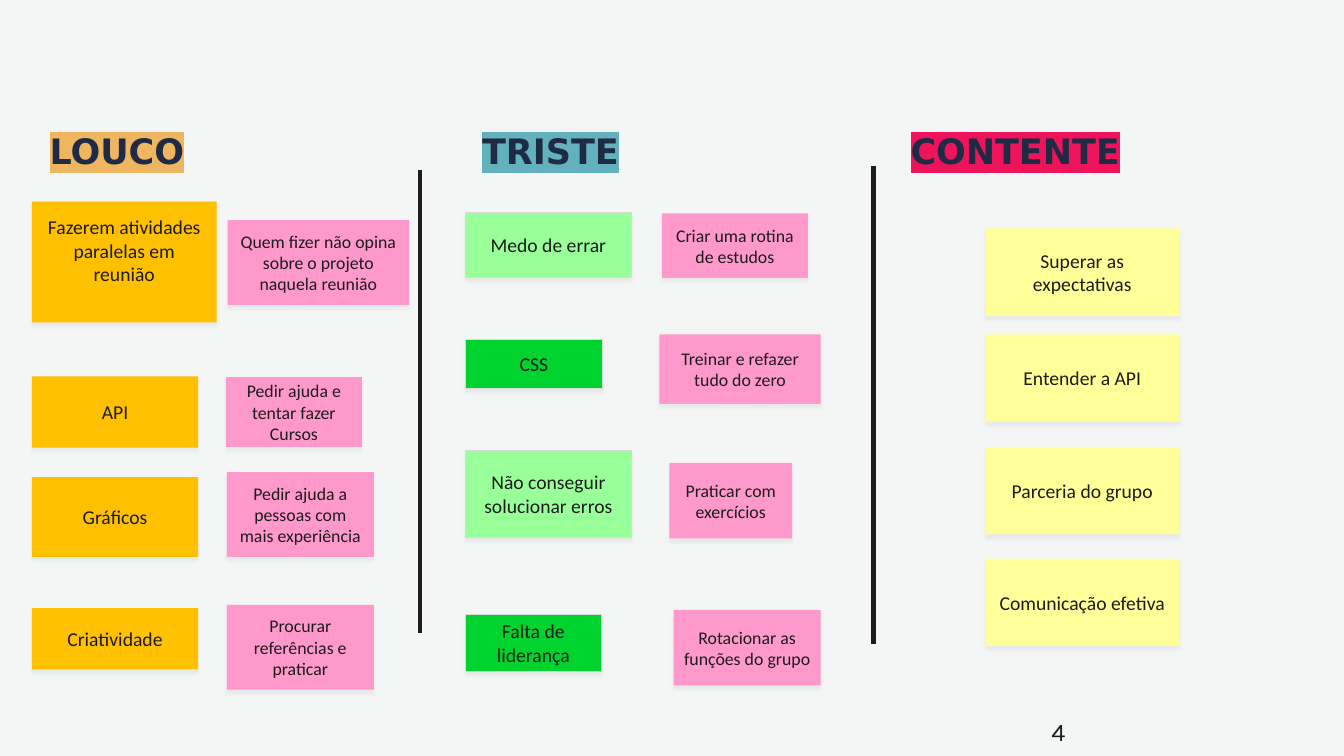
import lxml.etree
import pptx
import pptx.dml.color
import pptx.enum.shapes
import pptx.enum.text
import pptx.oxml.ns
import pptx.util

INK = "1C1C1C"
NAVY = "1F2A44"
GREY = "D9D9D9"
AMBER = "FFC000"
PINK = "FF99CC"
MINT = "99FF99"
GREEN = "00D22E"
YELLOW = "FFFF99"


def colour(code):
    """Return the colour for a hex string."""
    return pptx.dml.color.RGBColor.from_string(code)


def add_xml(parent, tag, **attributes):
    """Append a DrawingML element and return it."""
    return lxml.etree.SubElement(parent, pptx.oxml.ns.qn(tag), attributes)


class Board:
    """Retrospective board on a grid of 160 columns by 90 rows."""

    columns, rows = 160, 90
    middle = pptx.enum.text.MSO_ANCHOR.MIDDLE
    top = pptx.enum.text.MSO_ANCHOR.TOP
    left = pptx.enum.text.PP_ALIGN.LEFT
    center = pptx.enum.text.PP_ALIGN.CENTER

    def __init__(self, deck, background):
        """Add a page with three text placeholders and no title."""
        self.column = deck.slide_width / self.columns
        self.row = deck.slide_height / self.rows
        self.page = deck.slides.add_slide(deck.slide_layouts.get_by_name("Comparison"))
        self.page.background.fill.solid()
        self.page.background.fill.fore_color.rgb = colour(background)
        holders = {item.placeholder_format.idx: item for item in self.page.placeholders}
        for index in (0, 4):
            holders[index].element.getparent().remove(holders[index].element)
        self.bodies = [holders[index] for index in (1, 2, 3)]

    def place(self, left, top, width, height):
        """Turn grid units into slide lengths."""
        return (round(left * self.column), round(top * self.row),
                round(width * self.column), round(height * self.row))

    def set_text(self, box, text, size, font, code, align, anchor, bold=False):
        """Fill a box with text and format every run."""
        frame = box.text_frame
        frame.text = text
        frame.word_wrap = True
        frame.auto_size = pptx.enum.text.MSO_AUTO_SIZE.NONE
        frame.vertical_anchor = anchor
        for para in frame.paragraphs:
            para.alignment = align
            for span in para.runs:
                span.font.size = pptx.util.Pt(size)
                span.font.name = font
                span.font.bold = bold
                span.font.color.rgb = colour(code)

    def heading(self, text, left, highlight):
        """Set the next body placeholder as a highlighted heading."""
        box = self.bodies.pop(0)
        box.left, box.top, box.width, box.height = self.place(left, 15.4, 48, 7.2)
        self.set_text(box, text, 25, "DejaVu Sans", NAVY, self.left, self.top, True)
        para = box.text_frame.paragraphs[0]
        para.line_spacing = 0.9
        para.space_before = pptx.util.Pt(10)
        settings = para._p.get_or_add_pPr()
        settings.set("marL", "0")
        settings.set("indent", "0")
        add_xml(settings, "a:buNone")
        marks = para.runs[0].font._element
        marker = add_xml(marks, "a:highlight")
        add_xml(marker, "a:srgbClr", val=highlight)
        marks.find(pptx.oxml.ns.qn("a:latin")).addprevious(marker)

    def divider(self, left, top, bottom):
        """Draw a vertical line between two columns."""
        x, start, _, length = self.place(left, top, 0, bottom - top)
        line = self.page.shapes.add_connector(
            pptx.enum.shapes.MSO_CONNECTOR.STRAIGHT, x, start, x, start + length)
        line.line.color.rgb = colour(INK)
        line.line.width = pptx.util.Pt(3)
        add_xml(line.element.spPr, "a:effectLst")

    def note(self, text, fill, left, top, width, height, size=14, lift=0):
        """Add a sticky note with a soft shadow."""
        box = self.page.shapes.add_shape(
            pptx.enum.shapes.MSO_SHAPE.RECTANGLE, *self.place(left, top, width, height))
        box.fill.solid()
        box.fill.fore_color.rgb = colour(fill)
        if fill in (MINT, GREEN):
            box.line.color.rgb = colour(GREY)
            box.line.width = pptx.util.Pt(0.25)
        else:
            box.line.fill.background()
        box.shadow.inherit = False
        effects = box.element.spPr.find(pptx.oxml.ns.qn("a:effectLst"))
        shadow = add_xml(effects, "a:outerShdw", blurRad=str(pptx.util.Pt(2)),
                         dist=str(pptx.util.Pt(3)), dir="5400000", rotWithShape="0")
        tint = add_xml(shadow, "a:srgbClr", val=GREY)
        add_xml(tint, "a:alpha", val="40000")
        self.set_text(box, text, size, "Calibri", INK, self.center, self.middle)
        if lift:
            box.text_frame.margin_bottom += round(lift * self.row)

    def page_number(self, text, left, top, width, height):
        """Add the page number."""
        box = self.page.shapes.add_textbox(*self.place(left, top, width, height))
        self.set_text(box, text, 18, "Karla", INK, self.left, self.middle)


HEADINGS = [("LOUCO", 4.7, "EFB661"), ("TRISTE", 56.2, "63B1BC"),
            ("CONTENTE", 107.2, "ED145B")]
DIVIDERS = [(50, 20.2, 75.4), (104, 19.8, 76.7)]
MAD = [("API", 44.8, 8.5), ("Gráficos", 56.8, 9.5), ("Criatividade", 72.4, 7.3)]
SAD = [("Medo de errar", MINT, 25.3, 19.8, 7.7),
       ("CSS", GREEN, 40.4, 16.3, 5.8),
       ("Não conseguir solucionar erros", MINT, 53.6, 19.8, 10.4),
       ("Falta de liderança", GREEN, 73.1, 16.2, 6.8)]
GLAD = [("Superar as expectativas", 27.2), ("Entender a API", 39.8),
        ("Parceria do grupo", 53.2), ("Comunicação efetiva", 66.5)]
ACTIONS = [
    ("Quem fizer não opina sobre o projeto naquela reunião", 27.1, 26.2, 21.6, 10.1),
    ("Pedir ajuda e tentar fazer\nCursos", 26.9, 44.9, 16.2, 8.3),
    ("Pedir ajuda a pessoas com mais experiência", 27, 56.2, 17.5, 10.1),
    ("Procurar referências e praticar", 27, 72, 17.5, 10.1),
    ("Criar uma rotina de estudos", 78.8, 25.4, 17.4, 7.7),
    ("Treinar e refazer tudo do zero", 78.5, 39.8, 19.2, 8.3),
    ("Praticar com exercícios", 79.7, 55.1, 14.6, 9),
    ("Rotacionar as funções do grupo", 80.2, 72.6, 17.5, 9),
]


def main():
    """Build the board and save it."""
    deck = pptx.Presentation()
    deck.slide_width = pptx.util.Inches(13.33)
    deck.slide_height = pptx.util.Inches(7.5)
    board = Board(deck, "F4F5F5")
    for heading in HEADINGS:
        board.heading(*heading)
    for divider in DIVIDERS:
        board.divider(*divider)
    board.note("Fazerem atividades paralelas em reunião", AMBER, 3.8, 24, 22, 14.4, lift=2.8)
    for text, top, height in MAD:
        board.note(text, AMBER, 3.8, top, 19.8, height)
    for text, fill, top, width, height in SAD:
        board.note(text, fill, 55.4, top, width, height)
    for text, top in GLAD:
        board.note(text, YELLOW, 117.3, top, 23.1, 10.4)
    for text, *area in ACTIONS:
        board.note(text, PINK, *area, size=12.7)
    board.page_number("4", 124, 84.7, 36, 4.8)
    deck.save("out.pptx")


if __name__ == "__main__":
    main()
